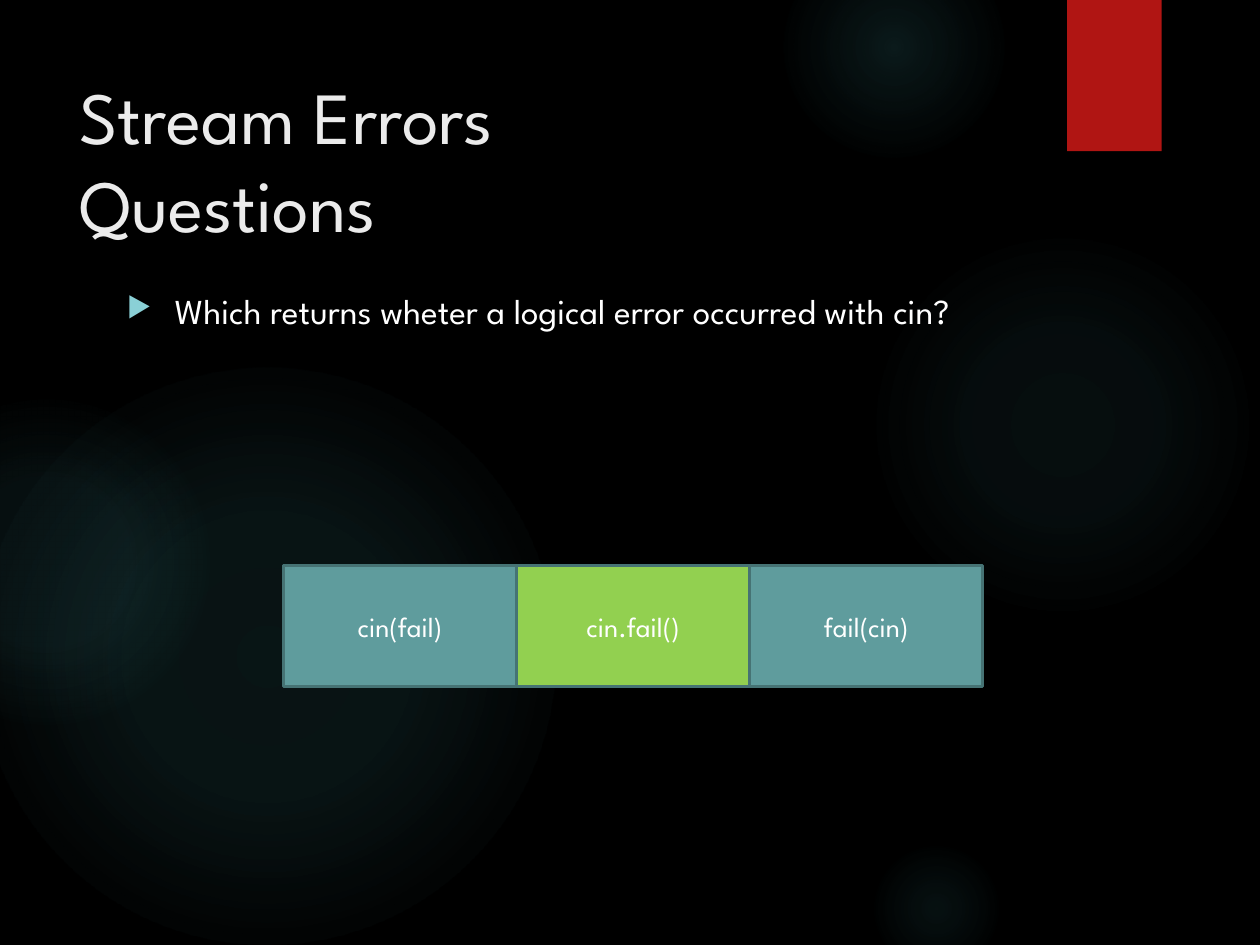
"""Build the Stream Errors Questions slide."""
from pptx import Presentation
from pptx.dml.color import RGBColor
from pptx.enum.shapes import MSO_SHAPE
from pptx.enum.text import MSO_ANCHOR, MSO_AUTO_SIZE, PP_ALIGN
from pptx.oxml import parse_xml
from pptx.oxml.ns import nsdecls
from pptx.util import Inches, Pt

TITLE = "Stream Errors\vQuestions"
QUESTION = "Which returns wheter a logical error occurred with cin?"
ANSWERS = [("cin(fail)", "answer"), ("cin.fail()", "correct"), ("fail(cin)", "answer")]
GLOWS = [
    (6.89, 1.83, 3.08, [(0, 7), (36, 6), (69, 0)]),
    (6.22, -0.5, 1.75, [(0, 14), (36, 7), (73, 0)]),
    (6.89, 6.67, 1.08, [(0, 9), (36, 5), (66, 0)]),
    (-0.17, 2.92, 4.58, [(0, 11), (36, 10), (75, 0)]),
    (-0.92, 3.17, 2.58, [(0, 8), (36, 8), (72, 0)]),
]
TITLE_BOX = (0.53, 0.5, 7.72, 1.53)
QUESTION_BOX = (0.91, 2.25, 7.34, 4.59)
RIBBON_BOX = (8.47, 0, 0.75, 1.2)
ANSWER_LEFT, ANSWER_TOP, ANSWER_WIDTH, ANSWER_HEIGHT = 2.25, 4.49, 1.85, 0.96

THEME = {
    "font": "League Spartan",
    "sizes": {"title": 42, "question": 20, "answer": 16},
    "colors": {
        "background": "000000", "glow": "50B9C1", "ribbon": "B01513",
        "title": "EBEBEB", "text": "FFFFFF", "bullet": "8AD0D6",
        "answer": "5F9C9D", "correct": "92D050", "border": "467374",
    },
}
COLORS = THEME["colors"]


def color(name):
    return RGBColor.from_string(COLORS[name])


def inches(box):
    return [Inches(length) for length in box]


def add_block(slide, kind, box, fill=None):
    block = slide.shapes.add_shape(kind, *inches(box))
    block.shadow.inherit = False
    block.line.fill.background()
    if fill:
        block.fill.solid()
        block.fill.fore_color.rgb = color(fill)
    return block


def add_glow(slide, left, top, size, stops):
    glow = add_block(slide, MSO_SHAPE.OVAL, (left, top, size, size))
    stop_xml = "".join(
        f'<a:gs pos="{position * 1000}"><a:srgbClr val="{COLORS["glow"]}">'
        f'<a:alpha val="{alpha * 1000}"/></a:srgbClr></a:gs>'
        for position, alpha in stops)
    gradient = parse_xml(
        f'<a:gradFill {nsdecls("a")} rotWithShape="1"><a:gsLst>{stop_xml}</a:gsLst>'
        '<a:path path="circle"><a:fillToRect l="50000" t="50000" r="50000" b="50000"/>'
        '</a:path></a:gradFill>')
    glow._element.spPr.find("{*}prstGeom").addnext(gradient)


def add_ribbon(slide):
    ribbon = add_block(slide, MSO_SHAPE.RECTANGLE, RIBBON_BOX, "ribbon")
    ribbon._element.spPr.find("{*}effectLst").append(parse_xml(
        f'<a:outerShdw {nsdecls("a")} blurRad="{Pt(3)}" dist="{Pt(2)}" dir="5400000" '
        'rotWithShape="0"><a:srgbClr val="000000"><a:alpha val="45000"/></a:srgbClr>'
        '</a:outerShdw>'))


def write(frame, text, role, text_color, align, anchor):
    frame.text = text
    frame_format = {"word_wrap": True, "auto_size": MSO_AUTO_SIZE.NONE,
                    "vertical_anchor": anchor}
    for name, value in frame_format.items():
        setattr(frame, name, value)
    paragraph = frame.paragraphs[0]
    paragraph.alignment = align
    for run in paragraph.runs:
        font_format = {"name": THEME["font"], "size": Pt(THEME["sizes"][role])}
        for name, value in font_format.items():
            setattr(run.font, name, value)
        run.font.color.rgb = color(text_color)
    return paragraph


def add_title(slide):
    title = slide.shapes.title
    title.left, title.top, title.width, title.height = inches(TITLE_BOX)
    write(title.text_frame, TITLE, "title", "title", PP_ALIGN.LEFT, MSO_ANCHOR.MIDDLE)
    slide.shapes._spTree.append(title._element)


def add_question(slide):
    question = slide.shapes.add_textbox(*inches(QUESTION_BOX))
    paragraph = write(question.text_frame, QUESTION, "question", "text",
                      PP_ALIGN.LEFT, MSO_ANCHOR.TOP)
    properties = paragraph._p.get_or_add_pPr()
    properties.set("marL", str(Inches(0.38)))
    properties.set("indent", str(Inches(-0.38)))
    for bullet in (f'buClr {nsdecls("a")}><a:srgbClr val="{COLORS["bullet"]}"/></a:buClr>',
                   f'buSzPct {nsdecls("a")} val="80000"/>',
                   f'buChar {nsdecls("a")} char="▶"/>'):
        properties.append(parse_xml(f"<a:{bullet}"))


def add_answers(slide):
    for column, (text, fill) in enumerate(ANSWERS):
        box = (ANSWER_LEFT + column * ANSWER_WIDTH, ANSWER_TOP, ANSWER_WIDTH, ANSWER_HEIGHT)
        answer = add_block(slide, MSO_SHAPE.RECTANGLE, box, fill)
        answer.line.color.rgb = color("border")
        answer.line.width = Pt(1.5)
        write(answer.text_frame, text, "answer", "text", PP_ALIGN.CENTER, MSO_ANCHOR.MIDDLE)


def main():
    deck = Presentation()
    deck.slide_width, deck.slide_height = Inches(10), Inches(7.5)
    slide = deck.slides.add_slide(deck.slide_layouts[5])
    slide.background.fill.solid()
    slide.background.fill.fore_color.rgb = color("background")
    for glow in GLOWS:
        add_glow(slide, *glow)
    add_ribbon(slide)
    add_title(slide)
    add_question(slide)
    add_answers(slide)
    deck.save("out.pptx")


if __name__ == "__main__":
    main()
